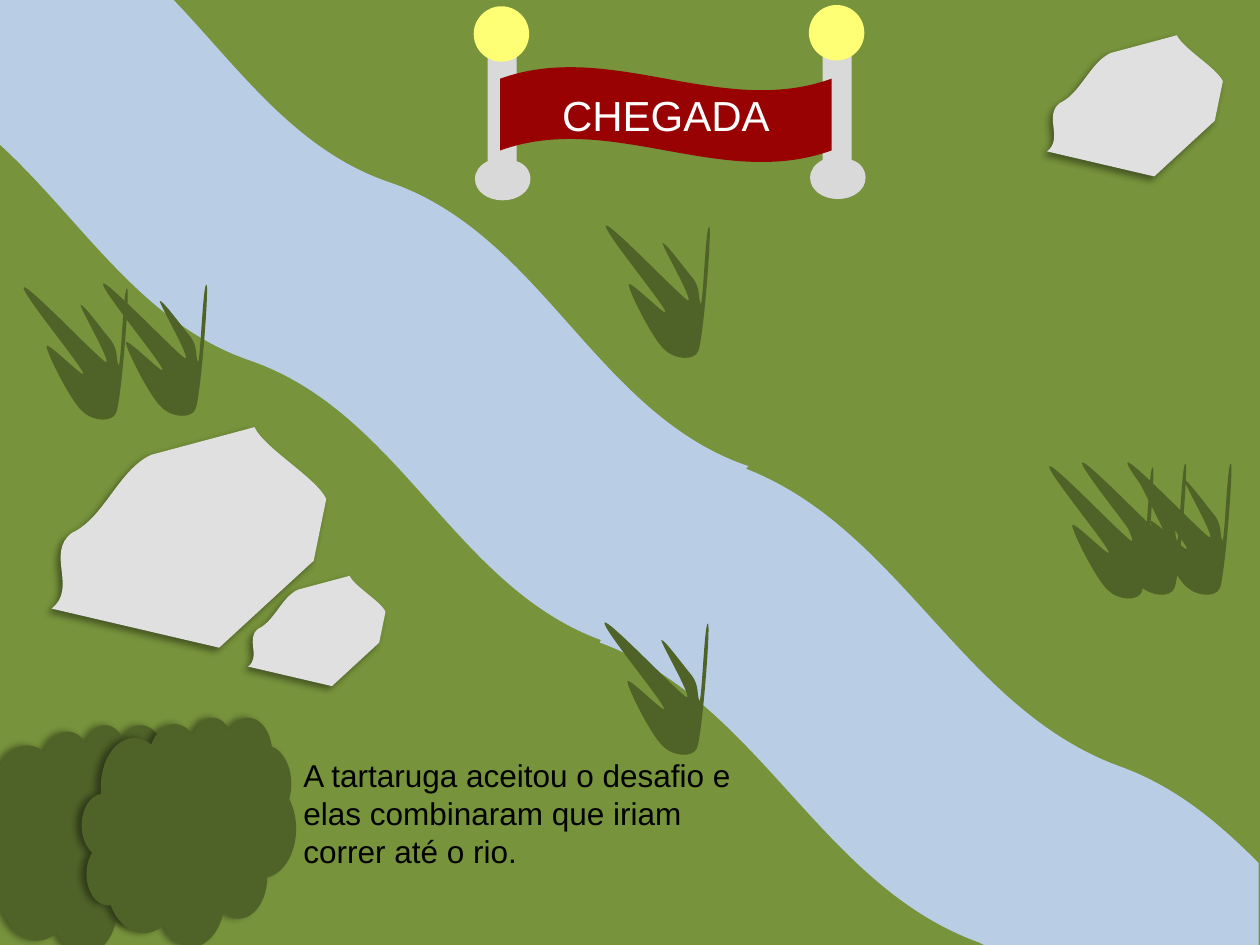
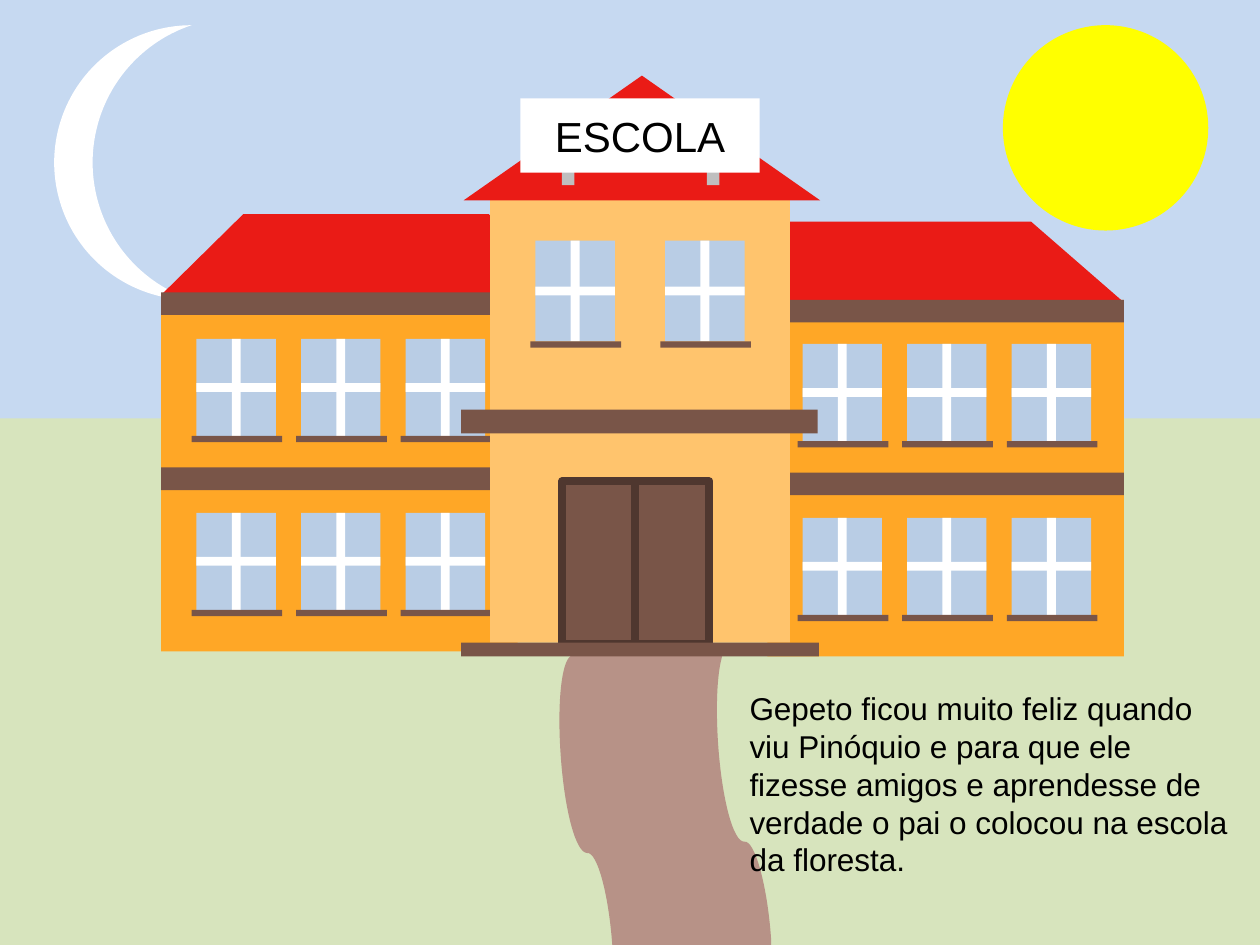
from lxml import etree
from pptx import Presentation
from pptx.dml.color import RGBColor as Rgb
from pptx.enum.shapes import MSO_SHAPE as Kind
from pptx.enum.text import MSO_ANCHOR as Anchor, MSO_AUTO_SIZE as Fit, PP_ALIGN as Align
from pptx.oxml.ns import qn
from pptx.util import Inches, Pt

WHITE = Rgb(0xFF, 0xFF, 0xFF)
BLACK = Rgb(0x00, 0x00, 0x00)
GRASS = Rgb(0x77, 0x93, 0x3C)
LEAF = Rgb(0x4F, 0x62, 0x28)
WATER = Rgb(0xB9, 0xCD, 0xE5)
POST = Rgb(0xD9, 0xD9, 0xD9)
LAMP = Rgb(0xFF, 0xFF, 0x75)
FLAG = Rgb(0x98, 0x02, 0x02)
STONE = Rgb(0xE0, 0xE0, 0xE0)
SKY = Rgb(0xC6, 0xD9, 0xF1)
SUN = Rgb(0xFF, 0xFF, 0x00)
LAWN = Rgb(0xD7, 0xE4, 0xBD)
TRAIL = Rgb(0xB7, 0x92, 0x87)
WALL = Rgb(0xFF, 0xA7, 0x26)
TOWER = Rgb(0xFF, 0xC4, 0x6D)
WOOD = Rgb(0x79, 0x55, 0x48)
FRAME = Rgb(0x4F, 0x37, 0x2F)
ROOF = Rgb(0xEA, 0x1B, 0x16)
STEEL = Rgb(0xBF, 0xBF, 0xBF)

RACE = "A tartaruga aceitou o desafio e elas combinaram que iriam correr até o rio."
SCHOOL = ("Gepeto ficou muito feliz quando viu Pinóquio e para que ele fizesse amigos "
          "e aprendesse de verdade o pai o colocou na escola da floresta.")
BODY = {"size": Pt(18), "name": "Arial"}
SIGN = {"size": Pt(24), "name": "Arial"}

RIVER = [
    (1.32, -0.06), (1.87, 0.5, 2.32, 1.19, 3.1, 1.45),
    (4.31, 1.87, 4.73, 3.29, 5.94, 3.7), (5.92, 3.72),
    (7.15, 4.2, 7.63, 5.62, 8.88, 6.08), (9.33, 6.24, 9.67, 6.53, 9.99, 6.85),
    (9.99, 7.5), (7.81, 7.5), (7.8, 7.49, 7.78, 7.49, 7.77, 7.48),
    (6.5, 7.02, 6.03, 5.56, 4.76, 5.1), (4.77, 5.08),
    (3.6, 4.65, 3.18, 3.27, 1.98, 2.86), (1.11, 2.56, 0.64, 1.73, -0.01, 1.14),
    (-0.01, -0.06),
]
POLE = [
    (0.1, 0), (0.33, 0), (0.33, 0.89), (0.4, 0.91, 0.44, 0.97, 0.44, 1.03),
    (0.44, 1.13, 0.34, 1.2, 0.22, 1.2), (0.1, 1.2, 0, 1.13, 0, 1.03),
    (0, 0.97, 0.04, 0.92, 0.1, 0.89),
]
ROCK = [
    (2.08, 1.06), (1.33, 1.75), (0, 1.44), (0.21, 1.28, -0.05, 1, 0.16, 0.84),
    (0.42, 0.72, 0.53, 0.34, 0.79, 0.22), (1.61, 0),
    (1.69, 0.17, 2.1, 0.4, 2.18, 0.57),
]
TUFT = [
    (0.18, 0.47), (0.18, 0.42, 0.5, 0.75, 0.47, 0.68),
    (0.44, 0.6, -0.04, 0.02, 0, 0), (0.04, -0.01, 0.5, 0.47, 0.63, 0.58),
    (0.75, 0.69, 0.43, 0.14, 0.45, 0.14), (0.47, 0.13, 0.63, 0.35, 0.69, 0.42),
    (0.75, 0.5, 0.73, 0.57, 0.75, 0.62), (0.77, 0.66, 0.79, -0.02, 0.82, 0.01),
    (0.84, 0.04, 0.77, 0.93, 0.73, 1), (0.7, 1.07, 0.55, 1.07, 0.46, 0.98),
    (0.37, 0.9, 0.18, 0.52, 0.18, 0.47),
]
PATH = [
    (5.8, 5.11), (5.71, 5.12, 5.67, 5.47, 5.7, 5.91),
    (5.73, 6.34, 5.82, 6.69, 5.91, 6.68), (5.99, 6.67, 6.09, 7.02, 6.12, 7.45),
    (6.12, 7.5), (4.86, 7.5), (4.83, 7.09, 4.74, 6.76, 4.66, 6.77),
    (4.57, 6.77, 4.48, 6.43, 4.45, 5.99), (4.42, 5.56, 4.46, 5.2, 4.55, 5.2),
]
POLES = [(6.43, 0.38), (3.77, 0.39)]
ROCKS = [(0.41, 3.39, 1), (1.97, 4.57, 0.5), (8.31, 0.28, 0.64)]
CLOUDS = [(-0.2, 5.75), (0.65, 5.69)]
TUFTS = [(8.59, 3.67), (8.33, 3.7), (8.95, 3.67), (0.19, 2.28), (0.82, 2.25),
         (4.81, 1.79), (4.8, 4.94)]
WINGS = [(1.28, 2.34), (6.09, 2.38)]
ROOFS = [(1.28, 1.7, 3.25, 0.64), (5.24, 1.76, 3.68, 0.64)]
EAVES = [(6.06, 2.38, 2.86, 0.18), (1.28, 2.32, 2.83, 0.18)]


def paint(shape, color):
    shape.shadow.inherit = False
    shape.fill.solid()
    shape.fill.fore_color.rgb = color
    shape.line.fill.background()
    return shape


def block(slide, box, color, kind=Kind.RECTANGLE):
    return paint(slide.shapes.add_shape(kind, *map(Inches, box)), color)


def bend(shape, steps):
    route = shape._element.spPr.find(".//" + qn("a:path"))
    sides = iter(route.findall(qn("a:lnTo")))
    for step in steps[1:]:
        side = next(sides)
        if len(step) == 6:
            side.tag = qn("a:cubicBezTo")
            for _ in range(2):
                extra = next(sides)
                side.append(extra[0])
                route.remove(extra)


def outline(slide, steps, color, x=0, y=0, scale=1):
    dots = [(Inches(x + step[n] * scale), Inches(y + step[n + 1] * scale))
            for step in steps for n in range(0, len(step), 2)]
    pen = slide.shapes.build_freeform(*dots[0], scale=1.0)
    pen.add_line_segments(dots[1:], close=True)
    shape = pen.convert_to_shape()
    bend(shape, steps)
    return paint(shape, color)


def shade(shape, angle):
    host = shape._element.spPr.find(qn("a:effectLst"))
    cast = etree.SubElement(host, qn("a:outerShdw"), blurRad=str(Pt(4)), dist=str(Pt(3)),
                            dir=str(angle * 60000), algn="ctr", rotWithShape="0")
    tint = etree.SubElement(cast, qn("a:srgbClr"), val=str(BLACK))
    etree.SubElement(tint, qn("a:alpha"), val="40000")


def write(shape, text, style, color):
    para = shape.text_frame.paragraphs[0]
    run = para.add_run()
    run.text = text
    for key, value in style.items():
        setattr(run.font, key, value)
    run.font.color.rgb = color
    return para


def label(shape, text, color):
    shape.text_frame.vertical_anchor = Anchor.MIDDLE
    write(shape, text, SIGN, color).alignment = Align.CENTER


def story(slide, box, text):
    shape = slide.shapes.add_textbox(*map(Inches, box))
    shape.text_frame.word_wrap = True
    shape.text_frame.auto_size = Fit.SHAPE_TO_FIT_TEXT
    write(shape, text, BODY, BLACK)


def scene(deck, color):
    slide = deck.slides.add_slide(deck.slide_layouts[6])
    slide.background.fill.solid()
    slide.background.fill.fore_color.rgb = color
    return slide


def window(slide, x, y, tall=0.77):
    block(slide, (x, y, 0.63, tall), WATER)
    block(slide, (x, y + (tall - 0.07) / 2, 0.63, 0.07), WHITE)
    block(slide, (x + 0.28, y, 0.07, tall), WHITE)
    block(slide, (x - 0.04, y + tall, 0.72, 0.05), WOOD)


def wing(slide, x, y):
    block(slide, (x, y, 2.83, 2.83), WALL)
    block(slide, (x, y + 1.37, 2.83, 0.18), WOOD)
    for row in range(2):
        for col in range(3):
            window(slide, x + 0.28 + 0.83 * col, y + 0.35 + 1.38 * row)


def draw_race(deck):
    slide = scene(deck, GRASS)
    outline(slide, RIVER, WATER)
    for x, y in POLES:
        outline(slide, POLE, POST, x, y)
        block(slide, (x - 0.01, y - 0.34, 0.44, 0.44), LAMP, Kind.OVAL)
    label(block(slide, (3.97, 0.53, 2.63, 0.76), FLAG, Kind.WAVE), "CHEGADA", WHITE)
    for x, y, scale in ROCKS:
        shade(outline(slide, ROCK, STONE, x, y, scale), 135)
    for x, y in CLOUDS:
        shade(block(slide, (x, y, 1.7, 1.82), LEAF, Kind.CLOUD), 180)
    for x, y in TUFTS:
        outline(slide, TUFT, LEAF, x, y)
    story(slide, (2.31, 5.95, 3.7, 1.31), RACE)


def draw_school(deck):
    slide = scene(deck, SKY)
    block(slide, (7.96, 0.2, 1.63, 1.63), SUN, Kind.OVAL)
    moon = block(slide, (0.43, 0.2, 1.09, 2.18), WHITE, Kind.MOON)
    moon.adjustments[0] = 0.28
    block(slide, (0, 3.32, 10, 4.18), LAWN)
    outline(slide, PATH, TRAIL)
    for x, y in WINGS:
        wing(slide, x, y)
    for box in ROOFS:
        block(slide, box, ROOF, Kind.FLOWCHART_MANUAL_OPERATION).rotation = 180
    for box in EAVES:
        block(slide, box, WOOD)
    block(slide, (3.89, 1.53, 2.38, 3.57), TOWER)
    for x in (4.25, 5.28):
        window(slide, x, 1.91, 0.8)
    block(slide, (3.66, 3.25, 2.83, 0.19), WOOD)
    for x in (4.46, 5.04):
        door = block(slide, (x, 3.82, 0.59, 1.29), WOOD)
        door.line.color.rgb = FRAME
        door.line.width = Pt(4.5)
    block(slide, (3.66, 5.1, 2.84, 0.11), WOOD)
    block(slide, (3.68, 0.6, 2.83, 0.99), ROOF, Kind.ISOSCELES_TRIANGLE)
    for x in (4.46, 5.61):
        block(slide, (x, 1.31, 0.1, 0.16), STEEL)
    label(block(slide, (4.13, 0.78, 1.9, 0.59), WHITE), "ESCOLA", BLACK)
    story(slide, (5.85, 5.42, 4.05, 1.31), SCHOOL)


def main():
    deck = Presentation()
    deck.slide_width, deck.slide_height = Inches(10), Inches(7.5)
    draw_race(deck)
    draw_school(deck)
    deck.save("out.pptx")


if __name__ == "__main__":
    main()
